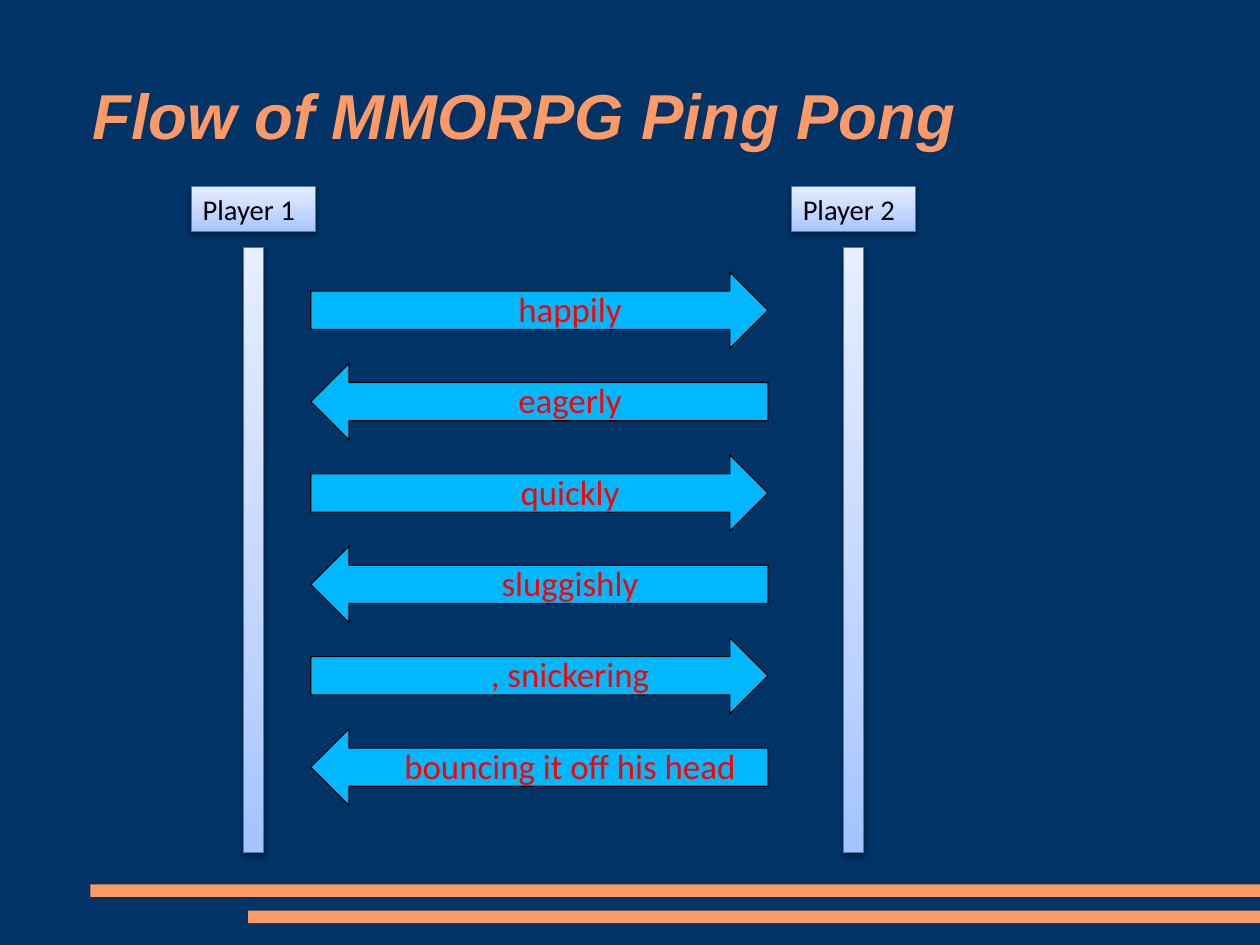
from copy import deepcopy

from lxml.etree import SubElement
from pptx import Presentation
from pptx.dml.color import RGBColor
from pptx.enum.shapes import MSO_SHAPE
from pptx.enum.text import MSO_ANCHOR, MSO_AUTO_SIZE, PP_ALIGN
from pptx.oxml.ns import qn
from pptx.util import Cm, Pt

NAVY = RGBColor(0x00, 0x33, 0x66)
ORANGE = RGBColor(0xFF, 0x99, 0x66)
CYAN = RGBColor(0x00, 0xB8, 0xFF)
RED = RGBColor(0xFF, 0x00, 0x00)
BLACK = RGBColor(0x00, 0x00, 0x00)
EDGE_BLUE = RGBColor(0x4B, 0x7E, 0xBC)
LIFELINE_STOPS = [
    (0, RGBColor(0xA4, 0xC4, 0xFF)),
    (0.35, RGBColor(0xBF, 0xD4, 0xFF)),
    (1, RGBColor(0xE6, 0xEE, 0xFF)),
]

deck = Presentation()
deck.slide_width, deck.slide_height = Cm(28), Cm(21)
COLUMN, ROW = deck.slide_width / 100, deck.slide_height / 100
slide = deck.slides.add_slide(deck.slide_layouts[5])
slide.background.fill.solid()
slide.background.fill.fore_color.rgb = NAVY


def area(left, top, width, height):
    return [round(n) for n in (left * COLUMN, top * ROW, width * COLUMN, height * ROW)]


def write(holder, wording, color, frame_format, font_format, align=PP_ALIGN.LEFT):
    frame = holder.text_frame
    frame.text = wording
    for key, value in frame_format.items():
        setattr(frame, key, value)
    paragraph = frame.paragraphs[0]
    paragraph.alignment = align
    for key, value in font_format.items():
        setattr(paragraph.runs[0].font, key, value)
    paragraph.runs[0].font.color.rgb = color


for left, top in [(7.17, 93.59), (19.69, 96.37)]:
    footer_bar = slide.shapes.add_shape(MSO_SHAPE.RECTANGLE, *area(left, top, 100 - left, 1.33))
    footer_bar.shadow.inherit = False
    footer_bar.fill.solid()
    footer_bar.fill.fore_color.rgb = ORANGE
    footer_bar.line.fill.background()

heading = slide.shapes.title
heading.left, heading.top, heading.width, heading.height = area(7.33, 3.75, 85.39, 16.69)
write(
    heading, "Flow of MMORPG Ping Pong", ORANGE,
    dict(vertical_anchor=MSO_ANCHOR.MIDDLE, auto_size=MSO_AUTO_SIZE.NONE, word_wrap=True,
         margin_left=0, margin_top=0, margin_right=0, margin_bottom=0),
    dict(name="Arial", size=Pt(40), bold=True, italic=True),
)

for index, player in enumerate(["Player 1", "Player 2"]):
    shift = 47.62 * index
    lane = slide.shapes.add_group_shape().shapes
    name_plate = lane.add_shape(MSO_SHAPE.RECTANGLE, *area(15.2, 19.71, 9.83, 4.84))
    name_plate.left += round(shift * COLUMN)
    lifeline = lane.add_shape(MSO_SHAPE.RECTANGLE, *area(19.33 + shift, 26.15, 1.56, 64.09))
    for part in (name_plate, lifeline):
        part.fill.gradient()
        part.fill.gradient_angle = 90
        properties = part._element.spPr
        stop_list = properties.find(".//" + qn("a:gsLst"))
        stop_list.append(deepcopy(stop_list[0]))
        for stop, (position, color) in zip(part.fill.gradient_stops, LIFELINE_STOPS):
            stop.position = position
            stop.color.rgb = color
        part.line.color.rgb = EDGE_BLUE
        part.line.width = Pt(0.75)
        part.shadow.inherit = False
        shadow = SubElement(
            properties.find(qn("a:effectLst")), qn("a:outerShdw"),
            blurRad=str(Pt(3.1)), dist=str(Pt(1.6)), dir="5400000", rotWithShape="0",
        )
        shade = SubElement(shadow, qn("a:srgbClr"), val=str(BLACK))
        SubElement(shade, qn("a:alpha"), val="38000")
    write(
        name_plate, player, BLACK,
        dict(vertical_anchor=MSO_ANCHOR.TOP, auto_size=MSO_AUTO_SIZE.SHAPE_TO_FIT_TEXT, word_wrap=True),
        dict(name="Calibri", size=Pt(18)),
    )

throws = [
    ("happily", 10.16),
    ("eagerly", 10.16),
    ("quickly", 9.89),
    ("sluggishly", 12.79),
    (", snickering", 14.52),
    ("bouncing it off his head", 28.4),
]
directions = [MSO_SHAPE.RIGHT_ARROW, MSO_SHAPE.LEFT_ARROW]
for index, (manner, width) in enumerate(throws):
    top = 28.78 + 9.67 * index
    throw = slide.shapes.add_shape(directions[index % 2], *area(24.66, top, 36.29, 8.1))
    throw.shadow.inherit = False
    throw.fill.solid()
    throw.fill.fore_color.rgb = CYAN
    throw.line.color.rgb = BLACK
    throw.line.width = Pt(0.75)
    caption = slide.shapes.add_textbox(*area(45.24 - width / 2, top + 1.03, width, 5.68))
    write(
        caption, manner, RED,
        dict(auto_size=MSO_AUTO_SIZE.SHAPE_TO_FIT_TEXT, word_wrap=False),
        dict(name="Calibri", size=Pt(22)), PP_ALIGN.CENTER,
    )

deck.save("out.pptx")
